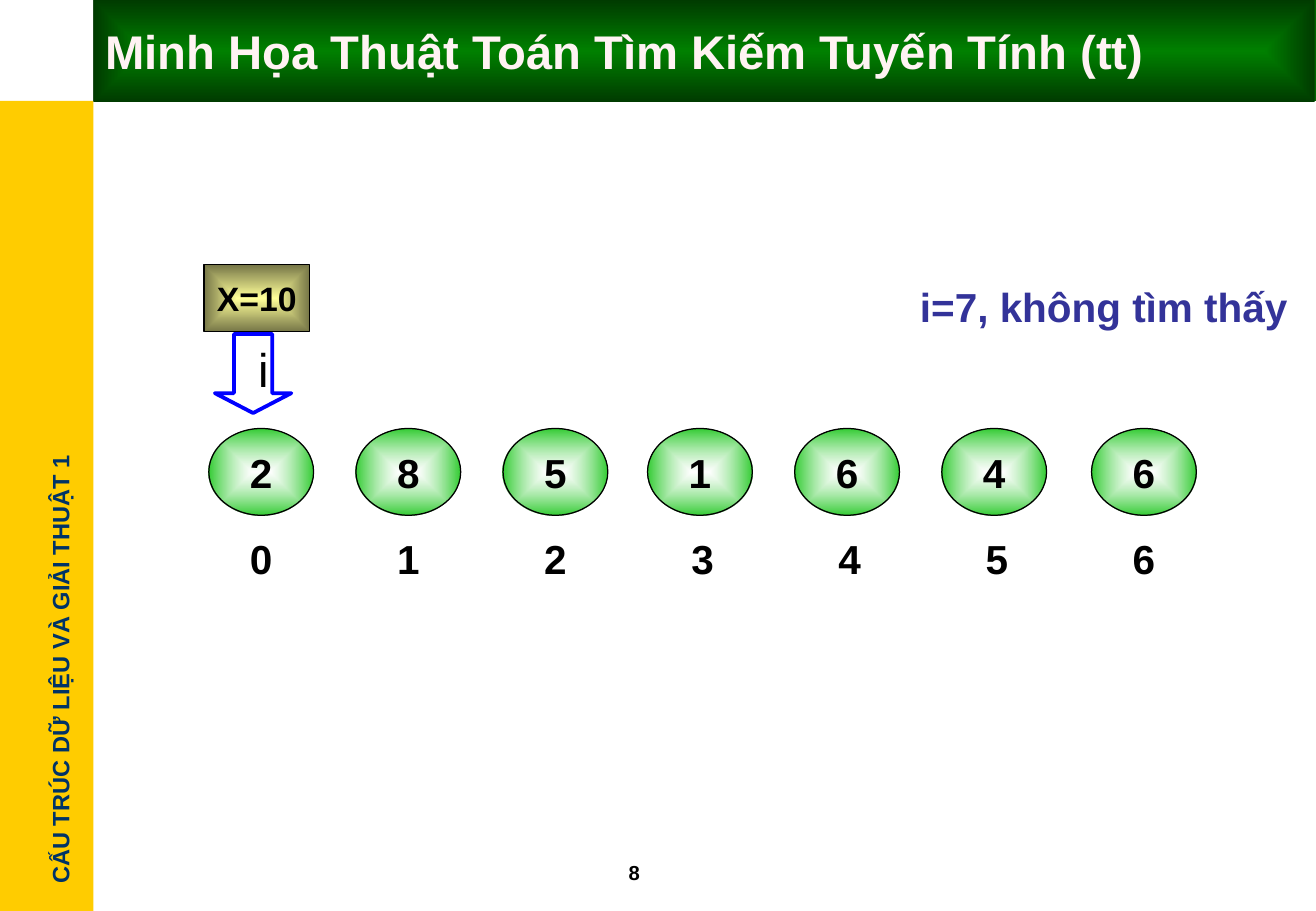
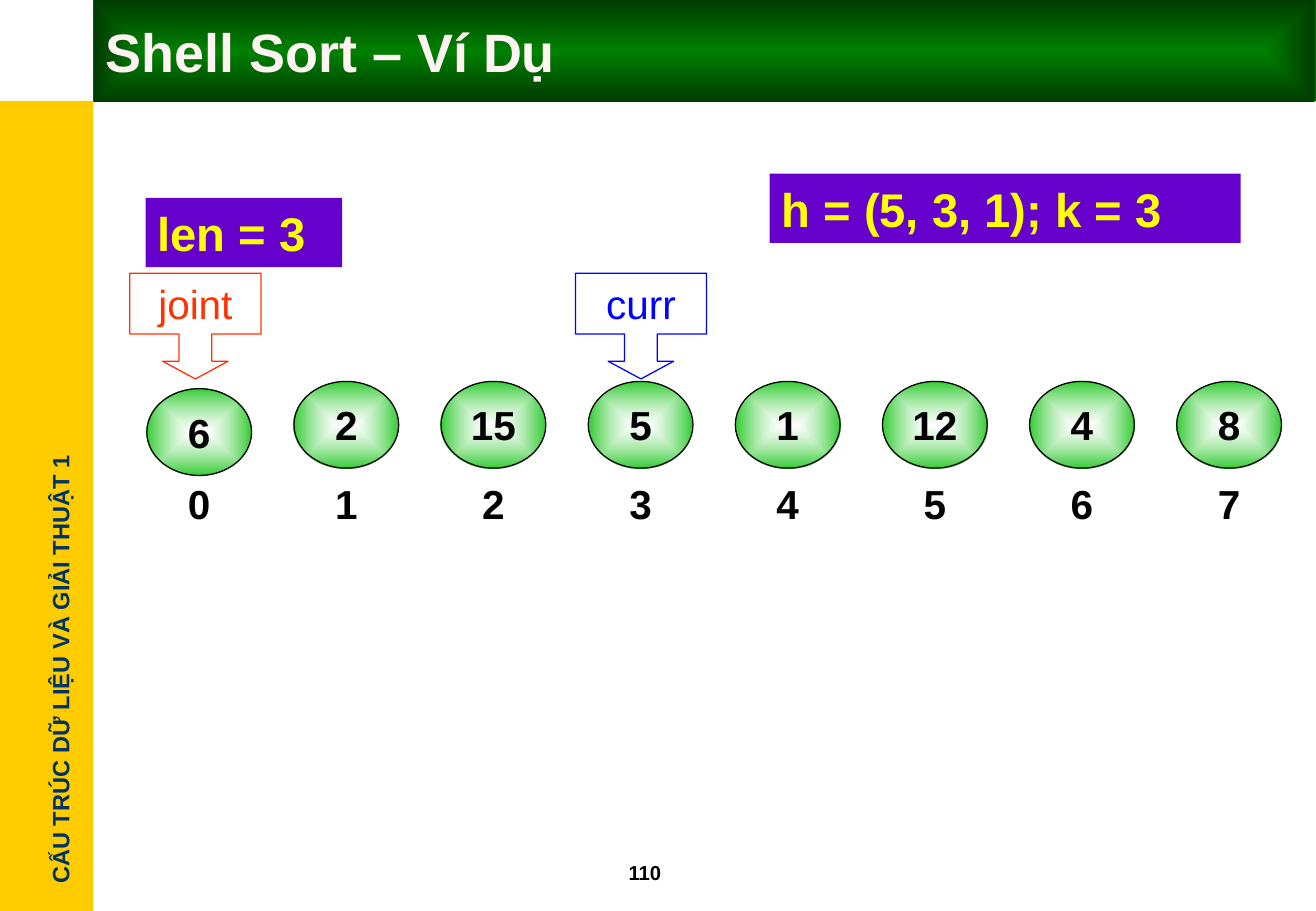
from dataclasses import dataclass
from typing import Optional

from lxml import etree
from pptx import Presentation
from pptx import util as u
from pptx.dml.color import RGBColor
from pptx.enum import shapes, text
from pptx.oxml import ns

WIDTH, HEIGHT = 10.84, 7.5
FONT = "Arial"
COLORS = {
    "black": "000000", "white": "FFFFFF", "gold": "FFCC00", "navy": "003366",
    "title": "FFF3F3", "green": "008000", "dark green": "003B00",
    "band start": "002F00", "band end": "006600", "node": "33CC33",
    "cream": "FFFF99", "olive": "767647", "blue": "0000FF", "red": "FF3300",
    "indigo": "333399", "purple": "6600CC", "yellow": "FFFF00",
}
CELL_STEP, CELL_WIDTH, CELL_HEIGHT = 11.18, 7.96, 9.52
CALLOUT_SHAPE = (0.31, 0.31, 0.167, 0.575)
LEFT, CENTER = text.PP_ALIGN.LEFT, text.PP_ALIGN.CENTER
RECTANGLE = shapes.MSO_SHAPE.RECTANGLE


@dataclass(frozen=True)
class Area:
    """A rectangle in percent of the slide's width and height."""
    left: float
    top: float
    width: float
    height: float

    def lengths(self) -> tuple:
        return (u.Inches(self.left * WIDTH / 100), u.Inches(self.top * HEIGHT / 100),
                u.Inches(self.width * WIDTH / 100), u.Inches(self.height * HEIGHT / 100))


@dataclass(frozen=True)
class Gradient:
    start: str
    end: str
    start_opacity: int = 100
    from_center: bool = True


@dataclass(frozen=True)
class Words:
    content: str
    size: float
    color: str = "black"
    bold: bool = True
    align: text.PP_ALIGN = LEFT
    wrap: bool = True
    inset: float = 0.1


@dataclass(frozen=True)
class Item:
    """A text box, or a preset shape when kind is given."""
    area: Area
    words: Optional[Words] = None
    kind: Optional[shapes.MSO_SHAPE] = None
    fill: object = None
    line: Optional[str] = None
    line_width: float = 0.75
    adjustments: tuple = ()
    rotation: float = 0


@dataclass(frozen=True)
class Node:
    value: str
    shift_x: float = 0
    shift_y: float = 0


@dataclass(frozen=True)
class Row:
    """An array of nodes with its indices below."""
    left: float
    nodes_top: float
    indices_top: float
    nodes: tuple


@dataclass(frozen=True)
class Lesson:
    title: Words
    number: str
    row: Row
    items: tuple


TITLE_AREA = Area(7.1, 0, 92.8, 11.2)
NUMBER_AREA = Area(46.86, 93.73, 7.66, 4)
TITLE_FILL = Gradient("green", "dark green")
NODE_FILL = Gradient("white", "node", start_opacity=60)

FRAME = (
    Item(Area(0, 11.07, 7.1, 88.93), kind=RECTANGLE, fill="gold"),
    Item(Area(-12.64, 71.2, 34.41, 4.53), rotation=270,
         words=Words("CẤU TRÚC DỮ LIỆU VÀ GIẢI THUẬT 1", 14, "navy", wrap=False)),
    Item(Area(7.1, 0, 92.9, 11.07), kind=RECTANGLE,
         fill=Gradient("band start", "band end", from_center=False)),
)


def callout(left: float, label: str, color: str) -> Item:
    return Item(Area(left, 30, 9.96, 11.6), Words(label, 24, color, False, CENTER),
                shapes.MSO_SHAPE.DOWN_ARROW_CALLOUT, line=color,
                adjustments=CALLOUT_SHAPE)


def banner(left: float, top: float, width: float, label: str) -> Item:
    return Item(Area(left, top, width, 7.6), Words(label, 28, "yellow"),
                RECTANGLE, fill="purple")


LESSONS = (
    Lesson(
        Words("Minh Họa Thuật Toán Tìm Kiếm Tuyến Tính (tt)", 28, "title"), "8",
        Row(15.87, 47.04, 56.53,
            (Node("2"), Node("8"), Node("5"), Node("1", -0.2), Node("6", -0.2),
             Node("4", -0.2), Node("6"))),
        (
            Item(Area(15.5, 29.07, 8.03, 7.33),
                 Words("X=10", 20, align=CENTER, wrap=False), RECTANGLE,
                 Gradient("cream", "olive"), "black"),
            Item(Area(16.33, 36.67, 5.81, 8.67), Words("i", 28, bold=False, inset=0.2),
                 shapes.MSO_SHAPE.DOWN_ARROW, line="blue", line_width=2.25,
                 adjustments=(0.5, 0.26)),
            Item(Area(69, 30.27, 31, 6.67), Words("i=7, không tìm thấy", 24, "indigo")),
        ),
    ),
    Lesson(
        Words("Shell Sort – Ví Dụ", 32, "title"), "110",
        Row(11.16, 41.87, 50.53,
            (Node("6", shift_y=0.8), *map(Node, ("2", "15", "5", "1", "12", "4", "8")))),
        (
            banner(58.49, 19.07, 35.79, "h = (5, 3, 1); k = 3"),
            banner(11.07, 21.73, 14.94, "len = 3"),
            callout(43.73, "curr", "blue"),
            callout(9.87, "joint", "red"),
        ),
    ),
)


def rgb(name: str) -> RGBColor:
    return RGBColor.from_string(COLORS[name])


def apply_gradient(shape, gradient: Gradient) -> None:
    shape.fill.gradient()
    properties = shape.element.spPr
    element = etree.Element(ns.qn("a:gradFill"), rotWithShape="1")
    stops = etree.SubElement(element, ns.qn("a:gsLst"))
    for position, name, opacity in ((0, gradient.start, gradient.start_opacity),
                                    (100, gradient.end, 100)):
        stop = etree.SubElement(stops, ns.qn("a:gs"), pos=str(position * 1000))
        color = etree.SubElement(stop, ns.qn("a:srgbClr"), val=COLORS[name])
        if opacity < 100:
            etree.SubElement(color, ns.qn("a:alpha"), val=str(opacity * 1000))
    if gradient.from_center:
        shade = etree.SubElement(element, ns.qn("a:path"), path="rect")
        etree.SubElement(shade, ns.qn("a:fillToRect"),
                         {side: "50000" for side in "ltrb"})
    else:
        etree.SubElement(element, ns.qn("a:lin"), ang="0", scaled="1")
    properties.replace(properties.find(ns.qn("a:gradFill")), element)


def apply_fill(shape, fill: object) -> None:
    if isinstance(fill, Gradient):
        apply_gradient(shape, fill)
    elif fill:
        shape.fill.solid()
        shape.fill.fore_color.rgb = rgb(fill)
    else:
        shape.fill.background()


def write(shape, words: Words) -> None:
    frame = shape.text_frame
    frame.auto_size = text.MSO_AUTO_SIZE.NONE
    frame.word_wrap = words.wrap
    frame.vertical_anchor = text.MSO_ANCHOR.MIDDLE
    frame.margin_left, frame.margin_right = u.Inches(words.inset), u.Inches(0.1)
    frame.margin_top = frame.margin_bottom = u.Inches(0.05)
    para = frame.paragraphs[0]
    para.alignment = words.align
    span = para.add_run()
    span.text = words.content
    span.font.name, span.font.size = FONT, u.Pt(words.size)
    span.font.bold = words.bold
    span.font.color.rgb = rgb(words.color)


def draw(page, item: Item):
    if item.kind is None:
        shape = page.shapes.add_textbox(*item.area.lengths())
    else:
        shape = page.shapes.add_shape(item.kind, *item.area.lengths())
        shape.shadow.inherit = False
        for index, value in enumerate(item.adjustments):
            shape.adjustments[index] = value
        apply_fill(shape, item.fill)
        if item.line:
            shape.line.color.rgb = rgb(item.line)
            shape.line.width = u.Pt(item.line_width)
        else:
            shape.line.fill.background()
    shape.rotation = item.rotation
    if item.words:
        write(shape, item.words)
    return shape


def draw_row(page, row: Row) -> None:
    for index, node in enumerate(row.nodes):
        left = row.left + index * CELL_STEP
        draw(page, Item(
            Area(left + node.shift_x, row.nodes_top + node.shift_y,
                 CELL_WIDTH, CELL_HEIGHT),
            Words(node.value, 24, align=CENTER), shapes.MSO_SHAPE.OVAL,
            NODE_FILL, "black"))
        draw(page, Item(Area(left, row.indices_top, CELL_WIDTH, CELL_HEIGHT),
                        Words(str(index), 24, align=CENTER)))


def prepare_layout(layout, page) -> None:
    """Keep only the layout's title and put the shared frame behind it."""
    tree = layout.shapes.element
    for holder in list(layout.placeholders):
        if holder.placeholder_format.type != shapes.PP_PLACEHOLDER.TITLE:
            tree.remove(holder.element)
    for position, item in enumerate(FRAME, start=2):
        tree.insert(position, draw(page, item).element)


def build_lesson(page, lesson: Lesson) -> None:
    title = page.shapes.title
    title.left, title.top, title.width, title.height = TITLE_AREA.lengths()
    apply_fill(title, TITLE_FILL)
    write(title, lesson.title)
    draw(page, Item(NUMBER_AREA, Words(lesson.number, 12)))
    draw_row(page, lesson.row)
    for item in lesson.items:
        draw(page, item)


def main() -> None:
    deck = Presentation()
    deck.slide_width, deck.slide_height = u.Inches(WIDTH), u.Inches(HEIGHT)
    layout = deck.slide_layouts.get_by_name("Title Only")
    pages = [deck.slides.add_slide(layout) for _ in LESSONS]
    prepare_layout(layout, pages[0])
    for page, lesson in zip(pages, LESSONS):
        build_lesson(page, lesson)
    deck.save("out.pptx")


if __name__ == "__main__":
    main()
